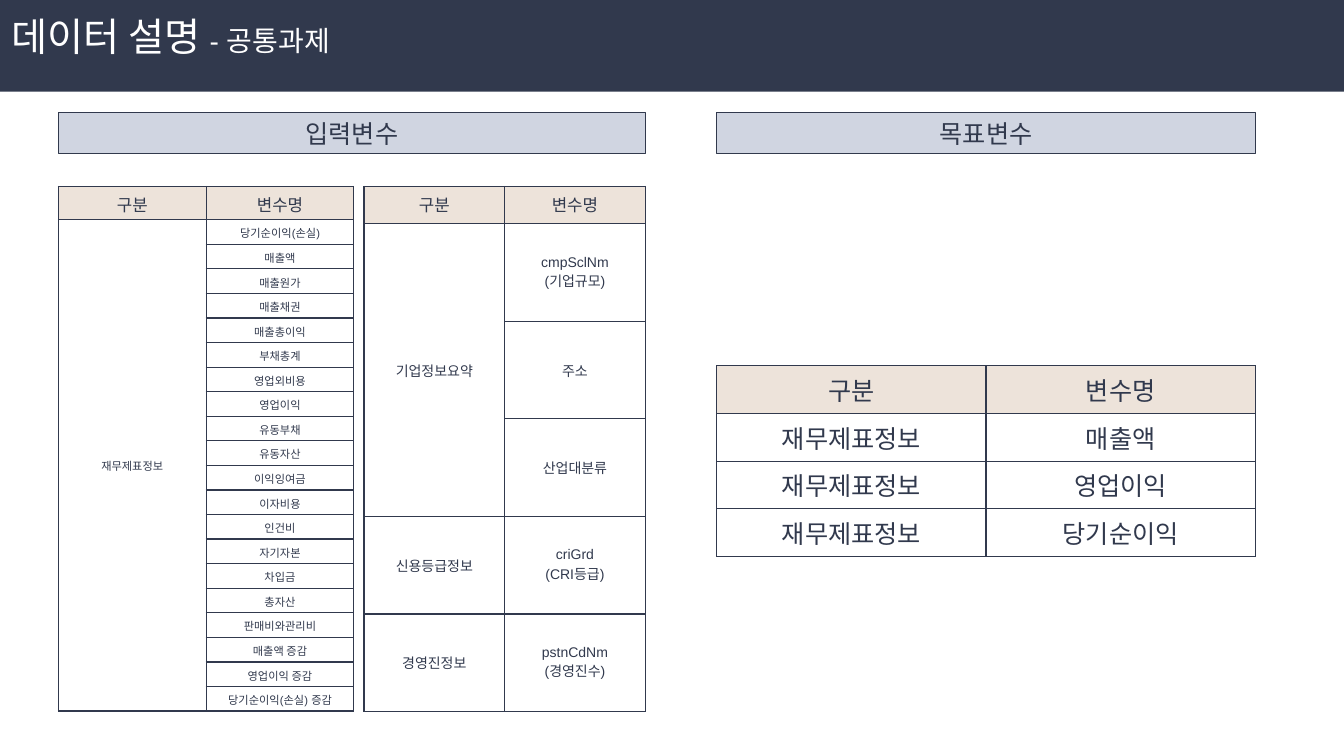
from lxml import etree
from pptx import Presentation
from pptx.dml.color import RGBColor
from pptx.enum.shapes import MSO_SHAPE
from pptx.enum.text import MSO_ANCHOR, PP_ALIGN
from pptx.oxml.ns import qn
from pptx.util import Inches, Pt

RECT = MSO_SHAPE.RECTANGLE
TOP, MIDDLE = MSO_ANCHOR.TOP, MSO_ANCHOR.MIDDLE
LEFT, CENTER = PP_ALIGN.LEFT, PP_ALIGN.CENTER
COLORS = {"navy": "31394D", "head": "EDE3DA", "label": "D0D5E1", "white": "FFFFFF"}
FONT = "Arial"
WIDTH, HEIGHT = 13.33, 7.5
LABEL_TOP, LABEL_HEIGHT, INPUT_TOP = 1.12, 0.4, 1.85
INPUT_LEFT, INPUT_WIDTH = 0.58, 5.82
TARGET_LEFT, TARGET_WIDTH = 7.11, 5.34
HEADER = ("구분", "변수명")
STATEMENT = "재무제표정보"
STATEMENT_VARIABLES = [
    "당기순이익(손실)", "매출액", "매출원가", "매출채권", "매출총이익", "부채총계",
    "영업외비용", "영업이익", "유동부채", "유동자산", "이익잉여금", "이자비용", "인건비",
    "자기자본", "차입금", "총자산", "판매비와관리비", "매출액 증감", "영업이익 증감",
    "당기순이익(손실) 증감",
]
COMPANY_GROUPS = [
    ("기업정보요약", ["cmpSclNm\n(기업규모)", "주소", "산업대분류"]),
    ("신용등급정보", ["criGrd\n(CRI등급)"]),
    ("경영진정보", ["pstnCdNm\n(경영진수)"]),
]
TARGET_GROUPS = [(STATEMENT, [name]) for name in ("매출액", "영업이익", "당기순이익")]


def rgb(name):
    """Return the named colour."""
    return RGBColor.from_string(COLORS[name])


def add_run(p, text, size, color="navy"):
    """Append a formatted run to a paragraph."""
    r = p.add_run()
    r.text = text
    for key, value in {"size": Pt(size), "name": FONT}.items():
        setattr(r.font, key, value)
    r.font.color.rgb = rgb(color)


def write(tf, text, size):
    """Write centred lines into a text frame."""
    for i, line in enumerate(text.split("\n")):
        p = tf.add_paragraph() if i else tf.paragraphs[0]
        p.alignment = CENTER
        add_run(p, line, size)


def add_box(s, box, fill, line=None):
    """Add a flat rectangle and return it."""
    sp = s.shapes.add_shape(RECT, *map(Inches, box))
    sp.shadow.inherit = False
    sp.fill.solid()
    sp.fill.fore_color.rgb = rgb(fill)
    if line:
        sp.line.color.rgb = rgb(line)
        sp.line.width = Pt(0.75)
    else:
        sp.line.fill.background()
    return sp


def title_band(s, box, title, subtitle):
    """Draw the dark band with its title and subtitle."""
    left, top, width, height = box
    add_box(s, box, "navy")
    tb = s.shapes.add_textbox(*map(Inches, (left + 0.02, top + 0.02, width * 0.93, height)))
    tf = tb.text_frame
    margins = dict.fromkeys(("margin_left", "margin_right", "margin_top", "margin_bottom"), Inches(0.1))
    for key, value in {"word_wrap": True, "vertical_anchor": TOP, **margins}.items():
        setattr(tf, key, value)
    p = tf.paragraphs[0]
    p.alignment = LEFT
    add_run(p, title, 28, "white")
    add_run(p, subtitle, 20, "white")


def section_label(s, box, text):
    """Draw a section heading."""
    sp = add_box(s, box, "label", "navy")
    sp.text_frame.vertical_anchor = MIDDLE
    write(sp.text_frame, text, 18)


def style_cell(cell, fill=None):
    """Fill a cell and rule its four sides."""
    if fill:
        cell.fill.solid()
        cell.fill.fore_color.rgb = rgb(fill)
    else:
        cell.fill.background()
    tcPr = cell._tc.get_or_add_tcPr()
    for i, side in enumerate(("lnL", "lnR", "lnT", "lnB")):
        ln = etree.Element(qn(f"a:{side}"), w=str(Pt(1)))
        solid = etree.SubElement(ln, qn("a:solidFill"))
        etree.SubElement(solid, qn("a:srgbClr"), val=COLORS["navy"])
        tcPr.insert(i, ln)


def variable_table(s, box, groups, head_height, head_size, size):
    """Draw a table of groups and their variables."""
    left, top, width, height = box
    count = sum(len(names) for _, names in groups)
    table = s.shapes.add_table(count + 1, 2, *map(Inches, box)).table
    for key in ("first_row", "horz_banding"):
        setattr(table, key, False)
    for col in table.columns:
        col.width = Inches(width / 2)
    for i, row in enumerate(table.rows):
        row.height = Inches((height - head_height) / count if i else head_height)
        for cell in row.cells:
            style_cell(cell, None if i else "head")
            cell.vertical_anchor = MIDDLE if i else TOP
    for cell, text in zip(table.rows[0].cells, HEADER):
        write(cell.text_frame, text, head_size)
    first = 1
    for group, names in groups:
        last = first + len(names) - 1
        if last > first:
            table.cell(first, 0).merge(table.cell(last, 0))
        write(table.cell(first, 0).text_frame, group, size)
        for i, name in enumerate(names, first):
            write(table.cell(i, 1).text_frame, name, size)
        first = last + 1


def input_region(s, box):
    """Draw the input variables and their two tables."""
    left, top, width, height = box
    section_label(s, (left, top, width, LABEL_HEIGHT), "입력변수")
    table_height = top + height - INPUT_TOP
    statement = [(STATEMENT, STATEMENT_VARIABLES)]
    variable_table(s, (left, INPUT_TOP, 2.93, table_height), statement, 0.33, 12, 8)
    company_box = (left + width - 2.79, INPUT_TOP, 2.79, table_height)
    variable_table(s, company_box, COMPANY_GROUPS, 0.37, 12, 10)


def target_region(s, box):
    """Draw the target variables and their table."""
    left, top, width, height = box
    section_label(s, (left, top, width, LABEL_HEIGHT), "목표변수")
    table_height = 1.89
    table_box = (left, top + height - table_height, width, table_height)
    variable_table(s, table_box, TARGET_GROUPS, table_height / 4, 18, 18)


def main():
    """Build and save the slide."""
    prs = Presentation()
    prs.slide_width, prs.slide_height = Inches(WIDTH), Inches(HEIGHT)
    s = prs.slides.add_slide(prs.slide_layouts[6])
    title_band(s, (0, 0, WIDTH, 0.91), "데이터 설명 ", "- 공통과제")
    input_region(s, (INPUT_LEFT, LABEL_TOP, INPUT_WIDTH, 5.94))
    target_region(s, (TARGET_LEFT, LABEL_TOP, TARGET_WIDTH, 4.4))
    prs.save("out.pptx")


if __name__ == "__main__":
    main()
